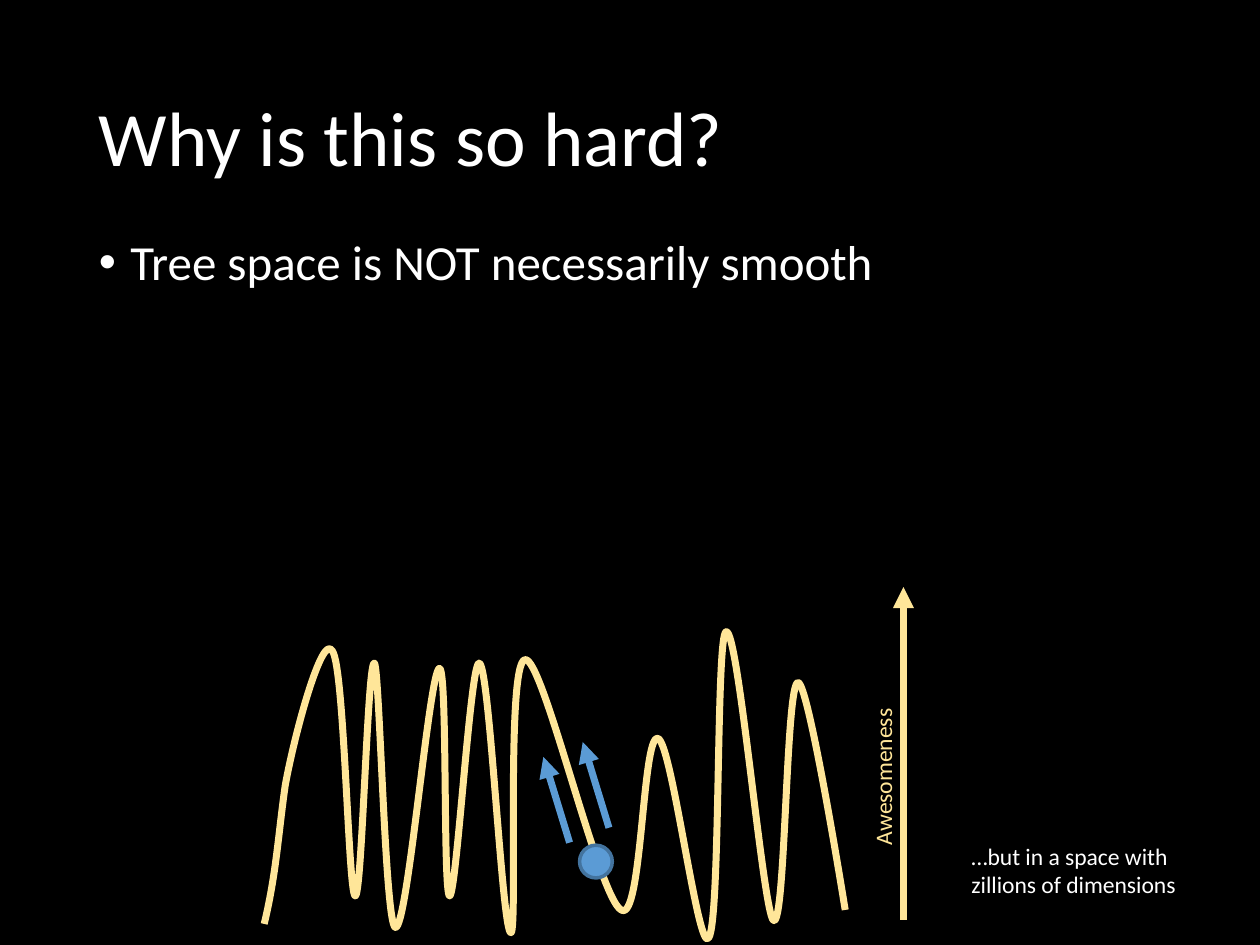
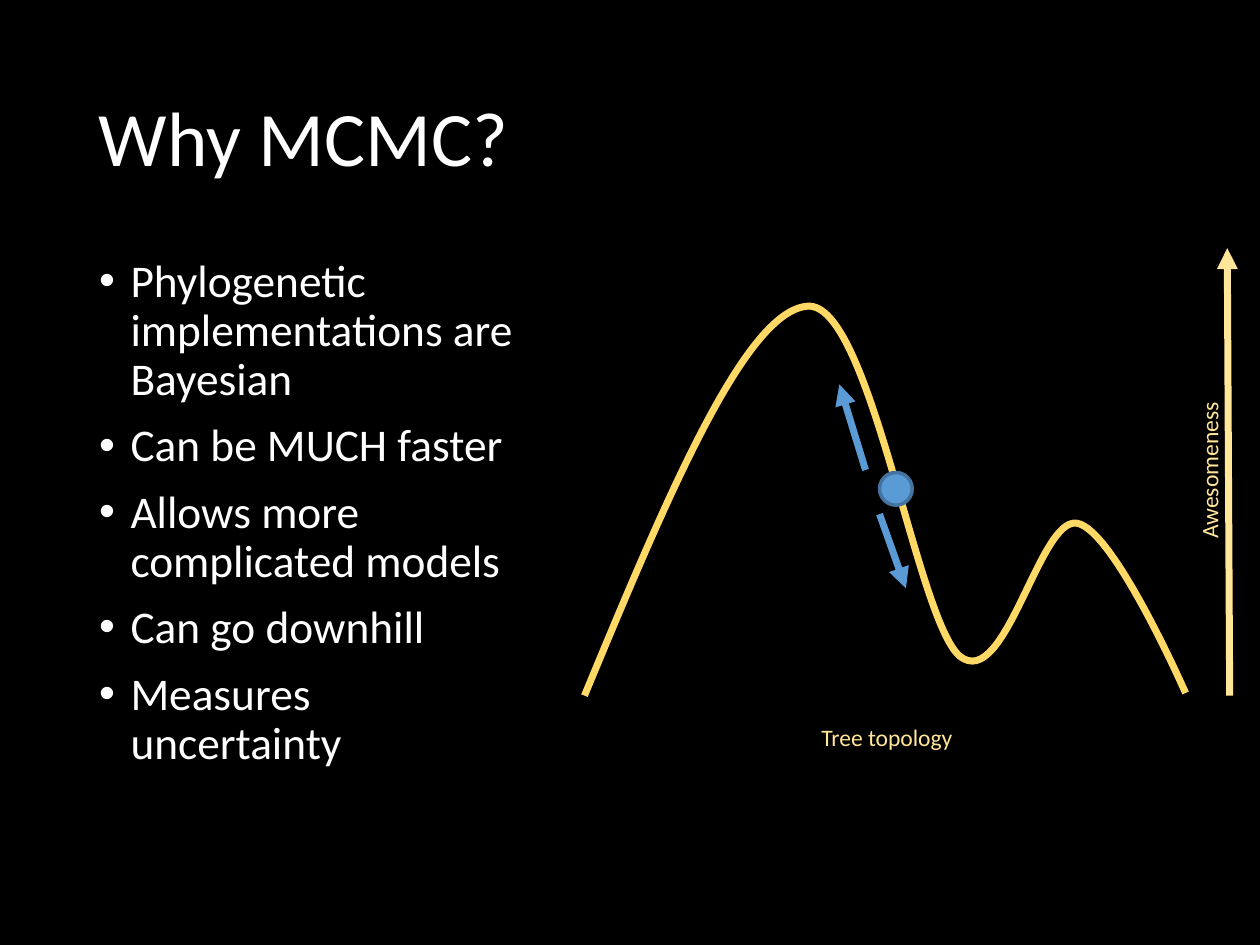
from lxml.etree import SubElement
from pptx import Presentation
from pptx.dml.color import RGBColor
from pptx.enum.shapes import MSO_CONNECTOR, MSO_SHAPE
from pptx.enum.text import MSO_ANCHOR, MSO_AUTO_SIZE, PP_ALIGN
from pptx.oxml.ns import qn
from pptx.util import Pt

LINE = MSO_CONNECTOR.STRAIGHT
OVAL = MSO_SHAPE.OVAL
TOP, MID = MSO_ANCHOR.TOP, MSO_ANCHOR.MIDDLE
GROW = MSO_AUTO_SIZE.SHAPE_TO_FIT_TEXT
LEFT, CENTER = PP_ALIGN.LEFT, PP_ALIGN.CENTER

COLORS = {
    "back": "000000",
    "text": "FFFFFF",
    "sand": "FFE699",
    "gold": "FFD966",
    "blue": "5B9BD5",
    "rim": "43739E",
}
MARGIN = 49.5
BALL = 18.7
CLIMB = (-15, -49)

# Each curve is a start point, then rows of two control points and a knot.
ROUGH = [
    (151, 528),
    (158, 499), (159, 477), (163, 449),
    (168, 421), (184, 361), (190, 372),
    (197, 382), (199, 511), (203, 512),
    (207, 513), (210, 376), (214, 379),
    (217, 382), (220, 529), (226, 530),
    (233, 531), (245, 386), (251, 382),
    (256, 379), (253, 512), (257, 512),
    (261, 511), (269, 375), (274, 379),
    (280, 382), (287, 534), (292, 533),
    (296, 533), (289, 379), (300, 377),
    (310, 374), (342, 513), (355, 520),
    (367, 528), (367, 419), (376, 422),
    (384, 424), (399, 546), (405, 536),
    (412, 526), (409, 362), (415, 361),
    (422, 359), (436, 521), (442, 526),
    (449, 531), (449, 391), (456, 390),
    (462, 389), (483, 520), (483, 520),
]
SMOOTH = [
    (334, 397.5),
    (379.5, 288), (425, 178.5), (461, 175),
    (497, 170.5), (523.5, 354), (548.5, 375),
    (574.5, 395.5), (594, 295), (615.5, 299),
    (636.5, 302.5), (677.5, 396), (677.5, 396),
]


def rgb(name):
    """Return the named colour."""
    return RGBColor.from_string(COLORS[name])


class Deck:
    """Holds the style and the current slide."""

    font = "Calibri"
    stroke = 4

    def __init__(self):
        """Start an empty 4:3 deck."""
        self.prs = Presentation()
        self.prs.slide_width = Pt(720)
        self.prs.slide_height = Pt(540)
        self.slide = None

    def page(self, title):
        """Add a dark slide with its title."""
        self.slide = self.prs.slides.add_slide(self.prs.slide_layouts[6])
        fill = self.slide.background.fill
        fill.solid()
        fill.fore_color.rgb = rgb("back")
        frame = self.box(MARGIN, 28.75, 621, 104.5, MID).text_frame
        para = frame.paragraphs[0]
        para.line_spacing = 0.9
        self.run(para, title, 44)

    def box(self, x, y, w, h, anchor=TOP):
        """Add an empty wrapping text box."""
        box = self.slide.shapes.add_textbox(Pt(x), Pt(y), Pt(w), Pt(h))
        box.text_frame.word_wrap = True
        box.text_frame.vertical_anchor = anchor
        return box

    def run(self, para, text, size, color="text"):
        """Add one styled run."""
        run = para.add_run()
        run.text = text
        run.font.name = self.font
        run.font.size = Pt(size)
        run.font.color.rgb = rgb(color)

    def list(self, y, w, size, items):
        """Add a bulleted list."""
        frame = self.box(MARGIN, y, w, 342.75).text_frame
        for i, item in enumerate(items):
            para = frame.add_paragraph() if i else frame.paragraphs[0]
            para.line_spacing = 0.9
            para.space_before = Pt(10)
            props = para._p.get_or_add_pPr()
            props.set("marL", str(Pt(18)))
            props.set("indent", str(-Pt(18)))
            SubElement(props, qn("a:buFont"), typeface="Arial")
            SubElement(props, qn("a:buChar"), char="•")
            self.run(para, item, size)

    def label(self, text, x, y, w, h=24, color="sand", align=LEFT):
        """Add a small label and return its box."""
        box = self.box(x, y, w, h)
        box.text_frame.auto_size = GROW
        para = box.text_frame.paragraphs[0]
        para.alignment = align
        self.run(para, text, 13.5, color)
        return box

    def arrow(self, start, end, color="blue"):
        """Draw an arrow between two points."""
        ends = [Pt(v) for v in (*start, *end)]
        line = self.slide.shapes.add_connector(LINE, *ends)
        line.line.color.rgb = rgb(color)
        line.line.width = Pt(self.stroke)
        props = line.element.spPr
        SubElement(props.find(qn("a:ln")), qn("a:tailEnd"), type="triangle")
        SubElement(props, qn("a:effectLst"))

    def climb(self, x, y):
        """Draw an uphill arrow from a point."""
        self.arrow((x, y), (x + CLIMB[0], y + CLIMB[1]))

    def axis(self, start, end, x, y):
        """Draw the upright axis and its turned label."""
        self.arrow(start, end, "sand")
        box = self.label("Awesomeness", x, y, 93.5)
        box.text_frame.word_wrap = False
        box.rotation = 270

    def ball(self, x, y):
        """Draw the ball on the curve."""
        ball = self.slide.shapes.add_shape(
            OVAL, Pt(x), Pt(y), Pt(BALL), Pt(BALL))
        ball.shadow.inherit = False
        ball.fill.solid()
        ball.fill.fore_color.rgb = rgb("blue")
        ball.line.color.rgb = rgb("rim")
        ball.line.width = Pt(2)

    def curve(self, points, color):
        """Draw a smooth curve: join the knots, then bend each segment."""
        spots = [(Pt(x), Pt(y)) for x, y in points]
        pen = self.slide.shapes.build_freeform(*spots[0])
        pen.add_line_segments(spots[3::3], close=False)
        shape = pen.convert_to_shape()
        shape.shadow.inherit = False
        shape.fill.background()
        shape.line.color.rgb = rgb(color)
        shape.line.width = Pt(self.stroke)
        parts = list(shape.element.iter(qn("a:lnTo")))
        for part, one, two in zip(parts, spots[1::3], spots[2::3]):
            knot = part[0]
            bend = SubElement(part.getparent(), qn("a:cubicBezTo"))
            for x, y in (one, two):
                SubElement(bend, qn("a:pt"), x=str(x - shape.left),
                           y=str(y - shape.top))
            bend.append(knot)
            part.getparent().replace(part, bend)


def hard(deck):
    """Build the slide on rough tree space."""
    deck.page("Why is this so hard?")
    deck.curve(ROUGH, "sand")
    deck.list(132.5, 621, 28, ["Tree space is NOT necessarily smooth"])
    deck.climb(348, 473)
    deck.climb(325.5, 481.5)
    deck.axis((516.25, 525.5), (516.25, 335.5), 458, 431.25)
    deck.ball(331.2, 483)
    deck.label("…but in a space with zillions of dimensions",
               548, 477.5, 144, 40, "text")


def mcmc(deck):
    """Build the slide on the reasons for MCMC."""
    deck.page("Why MCMC?")
    deck.list(144, 258.5, 25.9, [
        "Phylogenetic implementations are Bayesian",
        "Can be MUCH faster",
        "Allows more complicated models",
        "Can go downhill",
        "Measures uncertainty",
    ])
    deck.curve(SMOOTH, "gold")
    deck.ball(502.6, 270)
    deck.arrow((502.6, 293.8), (517.7, 336.2))
    deck.climb(494.6, 268.6)
    deck.axis((702.7, 397.5), (701.3, 141.8), 644.4, 256.3)
    deck.label("Tree topology", 389.5, 409.7, 234.7, align=CENTER)


deck = Deck()
hard(deck)
mcmc(deck)
deck.prs.save("out.pptx")
